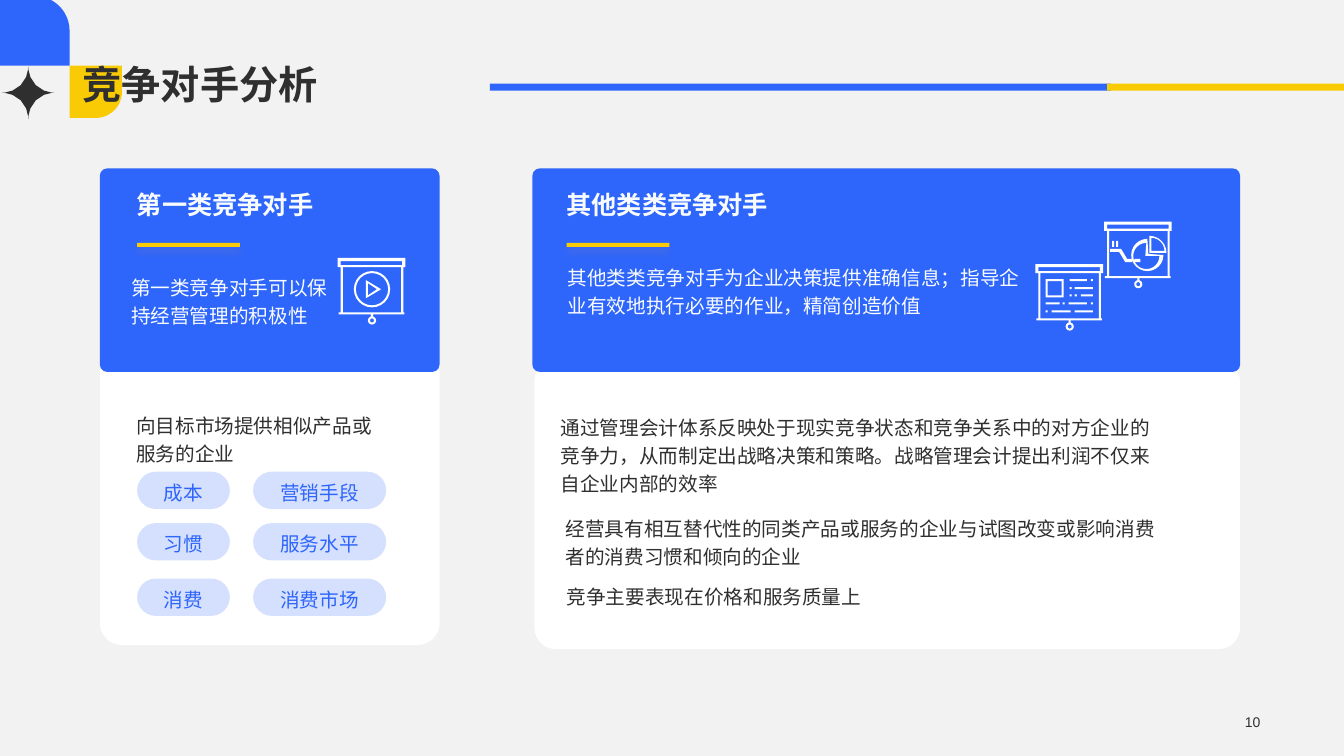
import math

from lxml import etree
from pptx import Presentation
from pptx.dml.color import RGBColor
from pptx.enum import shapes, text
from pptx.oxml import ns
from pptx.util import Inches, Pt

BLUE = RGBColor(0x2E, 0x65, 0xFB)
YELLOW = RGBColor(0xF9, 0xCB, 0x05)
DARK = RGBColor(0x2F, 0x2F, 0x2F)
GREY = RGBColor(0xF2, 0xF2, 0xF2)
WHITE = RGBColor(0xFF, 0xFF, 0xFF)
PALE = RGBColor(0xF9, 0xFC, 0xFF)
SHADOW = RGBColor(0xCD, 0x96, 0x73)
CJK = "Noto Sans CJK SC"
KIND = shapes.MSO_SHAPE
ALIGN = text.PP_ALIGN
ANCHOR = text.MSO_ANCHOR

# Text lines of the document icon: offset from the top, then (from, to) pairs.
DOCUMENT_ROWS = [
    (0.15, [(0.34, 0.51), (0.55, 0.57)]),
    (0.23, [(0.34, 0.36), (0.39, 0.57)]),
    (0.3, [(0.34, 0.36), (0.39, 0.41), (0.45, 0.57)]),
    (0.38, [(0.1, 0.24), (0.27, 0.29), (0.33, 0.51), (0.55, 0.57)]),
    (0.46, [(0.1, 0.12), (0.16, 0.35), (0.39, 0.57)]),
]
PILL_ROWS = [(4.68, "成本", "营销手段"), (5.19, "习惯", "服务水平"), (5.74, "消费", "消费市场")]


def sub(parent, tag, **attrs):
    return etree.SubElement(parent, ns.qn(tag), {k: str(v) for k, v in attrs.items()})


def write(sp, words, size=14, color=DARK, font=CJK, bold=False, align=ALIGN.LEFT,
          anchor=ANCHOR.TOP, spacing=1.2, inset=None, wrap=True):
    tf = sp.text_frame
    tf.word_wrap = wrap
    tf.auto_size = text.MSO_AUTO_SIZE.NONE
    tf.vertical_anchor = anchor
    if inset is not None:
        tf.margin_left = tf.margin_top = tf.margin_right = tf.margin_bottom = Inches(inset)
    p = tf.paragraphs[0]
    p.alignment = align
    p.line_spacing = spacing
    r = p.add_run()
    r.text = words
    r.font.size, r.font.bold, r.font.name = Pt(size), bold, font
    r.font.color.rgb = color
    sub(r.font._element, "a:ea", typeface=CJK)


def label(slide, x, y, w, h, words, **fmt):
    sp = slide.shapes.add_textbox(Inches(x), Inches(y), Inches(w), Inches(h))
    write(sp, words, **fmt)


def paint(sp, fill):
    sp.shadow.inherit = False
    sp.line.fill.background()
    sp.fill.solid()
    sp.fill.fore_color.rgb = fill
    return sp


def block(slide, kind, x, y, w, h, fill, adj=None):
    sp = slide.shapes.add_shape(kind, Inches(x), Inches(y), Inches(w), Inches(h))
    if adj is not None:
        sp.adjustments[0] = adj
    return paint(sp, fill)


def outline(slide, x, y, contours, fill):
    """One filled freeform; a contour inside another one cuts a hole."""
    contours = [[(Inches(x + dx), Inches(y + dy)) for dx, dy in c] for c in contours]
    builder = slide.shapes.build_freeform(*contours[0][0], scale=1.0)
    for i, contour in enumerate(contours):
        if i:
            builder.move_to(*contour[0])
        builder.add_line_segments(contour[1:], close=True)
    paint(builder.convert_to_shape(), fill)


def box(x, y, w, h):
    return [(x, y), (x + w, y), (x + w, y + h), (x, y + h)]


def arc(cx, cy, radius, start=0, end=345):
    """Points clockwise from the right, angles in degrees."""
    angles = [math.radians(a) for a in range(start, end + 1, 15)]
    return [(cx + radius * math.cos(a), cy + radius * math.sin(a)) for a in angles]


def easel():
    """Empty presentation screen with a rail, a base and a pull ring."""
    return [box(0, 0, 0.67, 0.09), box(0.03, 0.03, 0.61, 0.04),
            box(0.03, 0.09, 0.62, 0.45), box(0.05, 0.09, 0.58, 0.45),
            box(0.01, 0.54, 0.65, 0.02), box(0.33, 0.56, 0.02, 0.02),
            arc(0.34, 0.62, 0.04), arc(0.34, 0.62, 0.02)]


def play_icon():
    return easel() + [
        arc(0.34, 0.31, 0.18), arc(0.34, 0.31, 0.16),
        [(0.28, 0.22), (0.43, 0.31), (0.28, 0.4)],
        [(0.3, 0.25), (0.39, 0.31), (0.3, 0.37)]]


def document_icon():
    dashes = [box(start, y, end - start, 0.02) for y, row in DOCUMENT_ROWS for start, end in row]
    return easel() + [box(0.1, 0.15, 0.18, 0.18), box(0.12, 0.17, 0.14, 0.14)] + dashes


def chart_icon():
    trend = [(0.06, 0.27), (0.17, 0.27), (0.23, 0.37), (0.28, 0.37),
             (0.28, 0.4), (0.21, 0.4), (0.15, 0.3), (0.06, 0.3)]
    return easel() + [
        box(0.08, 0.19, 0.02, 0.06), box(0.12, 0.19, 0.02, 0.06),
        trend, box(0.3, 0.37, 0.06, 0.03),
        [(0.44, 0.32)] + arc(0.43, 0.33, 0.16, 0, 270),
        [(0.41, 0.34)] + arc(0.42, 0.34, 0.13, 0, 270),
        [(0.45, 0.31)] + arc(0.45, 0.31, 0.17, 270, 360),
        [(0.47, 0.29)] + arc(0.47, 0.29, 0.13, 270, 360)]


def star():
    def bend(v):
        return 0.26 * math.copysign(abs(v) ** 3.6, v)
    return [(bend(x), bend(y)) for x, y in arc(0, 0, 1)]


def header(slide, x, w, heading, heading_x):
    """Blue card top with its heading and yellow rule."""
    block(slide, KIND.ROUNDED_RECTANGLE, x, 1.67, w, 2.02, BLUE, 0.037)
    label(slide, heading_x, 1.83, 2.22, 0.4, heading, size=18, color=PALE, bold=True,
          spacing=1, wrap=False)
    rule = block(slide, KIND.RECTANGLE, heading_x + 0.1, 2.41, 1.02, 0.04, YELLOW)
    effects = rule._element.spPr.find(ns.qn("a:effectLst"))
    shadow = sub(effects, "a:outerShdw", blurRad=Pt(6), dist=Pt(4), dir=90 * 60000)
    sub(sub(shadow, "a:srgbClr", val=SHADOW), "a:alpha", val=20000)


def pill(slide, x, y, w, words):
    sp = block(slide, KIND.ROUNDED_RECTANGLE, x, y, w, 0.37, BLUE, 0.5)
    color = sp._element.spPr.find(ns.qn("a:solidFill"))[0]
    sub(color, "a:alpha", val=20000)
    write(sp, words, color=BLUE, align=ALIGN.CENTER, anchor=ANCHOR.MIDDLE)


def decorations(slide):
    block(slide, KIND.RECTANGLE, 0, 0, 13.33, 7.5, GREY)
    block(slide, KIND.ROUND_1_RECTANGLE, 0.69, 0.65, 0.52, 0.52, YELLOW, 0.5).rotation = 90
    block(slide, KIND.ROUND_1_RECTANGLE, 0, -0.04, 0.69, 0.69, BLUE, 0.5)
    outline(slide, 0.28, 0.92, [star()], DARK)
    block(slide, KIND.RECTANGLE, 4.86, 0.83, 6.16, 0.07, BLUE)
    block(slide, KIND.RECTANGLE, 10.98, 0.83, 2.35, 0.07, YELLOW)


def place_title(slide, words):
    title = slide.shapes.title
    title.left, title.top = Inches(0.72), Inches(0)
    title.width, title.height = Inches(11.88), Inches(1.12)
    write(title, words, size=28, font="Arial", bold=True, anchor=ANCHOR.BOTTOM, spacing=0.9)
    slide.shapes._spTree.append(title._element)  # above the decorations


def other_rivals(slide):
    block(slide, KIND.ROUNDED_RECTANGLE, 5.3, 3.57, 7, 2.87, WHITE, 0.074)
    header(slide, 5.28, 7.02, "其他类类竞争对手", 5.52)
    label(slide, 5.56, 4.08, 5.9, 0.82, "通过管理会计体系反映处于现实竞争状态和竞争关系中的对方企业的"
          "竞争力，从而制定出战略决策和策略。战略管理会计提出利润不仅来自企业内部的效率", inset=0)
    label(slide, 5.61, 5.08, 5.9, 0.54, "经营具有相互替代性的同类产品或服务的企业与试图改变或影响消费"
          "者的消费习惯和倾向的企业", inset=0)
    label(slide, 5.62, 5.76, 3.27, 0.26, "竞争主要表现在价格和服务质量上", inset=0)
    label(slide, 5.63, 2.59, 4.62, 0.54, "其他类类竞争对手为企业决策提供准确信息；指导企"
          "业有效地执行必要的作业，精简创造价值", color=PALE, inset=0)
    outline(slide, 10.27, 2.62, document_icon(), WHITE)
    outline(slide, 10.95, 2.2, chart_icon(), WHITE)


def first_rivals(slide):
    block(slide, KIND.ROUNDED_RECTANGLE, 0.99, 3.4, 3.37, 3, WHITE, 0.074)
    label(slide, 1.35, 4.06, 2.48, 0.54, "向目标市场提供相似产品或服务的企业", inset=0)
    for y, short, long in PILL_ROWS:
        pill(slide, 1.36, y, 0.92, short)
        pill(slide, 2.51, y, 1.32, long)
    header(slide, 0.99, 3.37, "第一类竞争对手", 1.26)
    label(slide, 1.3, 2.69, 1.95, 0.54, "第一类竞争对手可以保持经营管理的积极性",
          color=PALE, inset=0)
    outline(slide, 3.35, 2.56, play_icon(), WHITE)


def main():
    prs = Presentation()
    prs.slide_width, prs.slide_height = Inches(13.33), Inches(7.5)
    slide = prs.slides.add_slide(prs.slide_layouts[5])
    decorations(slide)
    place_title(slide, "竞争对手分析")
    other_rivals(slide)
    first_rivals(slide)
    label(slide, 9.69, 7.04, 2.91, 0.24, "10", size=10, font="Arial", align=ALIGN.RIGHT,
          anchor=ANCHOR.MIDDLE, spacing=1)
    prs.save("out.pptx")


if __name__ == "__main__":
    main()
